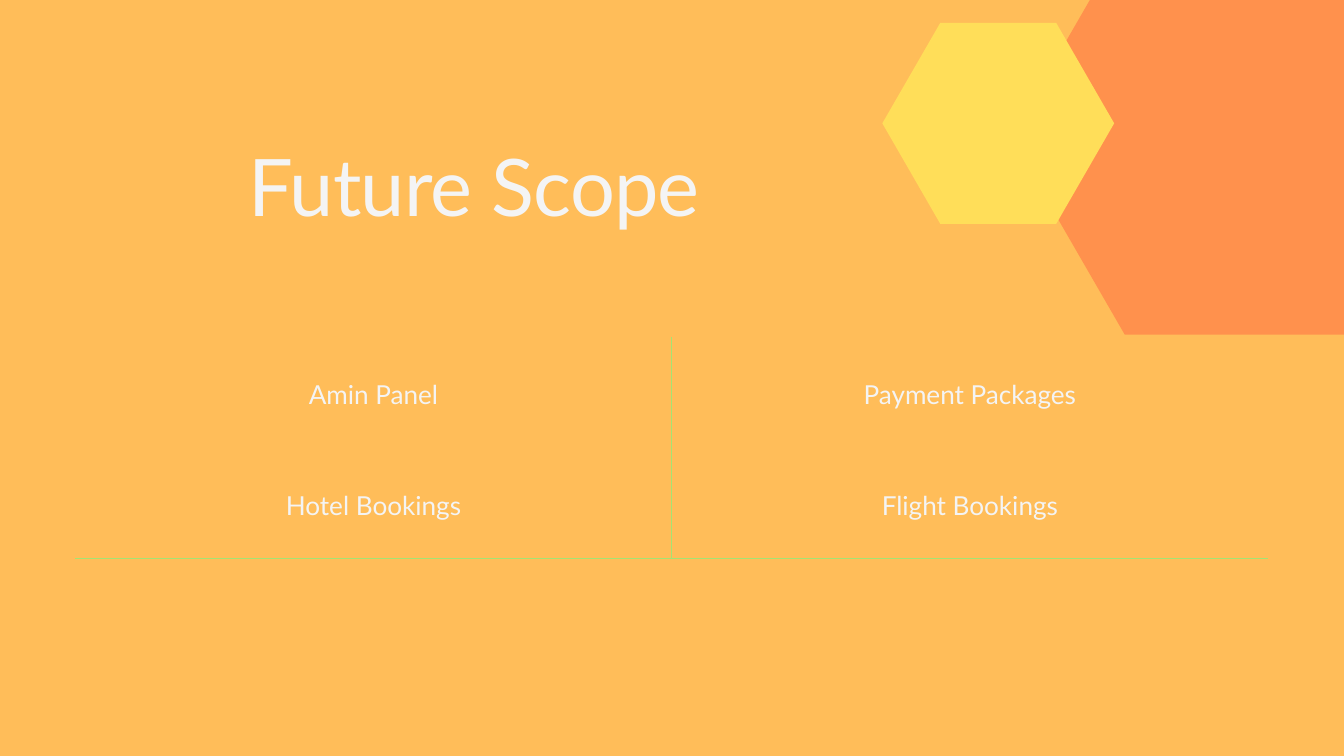
"""Build the Future Scope slide: two hexagons, a title and a ruled feature grid."""
from dataclasses import dataclass

from lxml.etree import SubElement
from pptx import Presentation
from pptx.dml.color import RGBColor as Color
from pptx.enum.text import MSO_ANCHOR as Anchor, MSO_AUTO_SIZE as AutoSize, PP_ALIGN as Align
from pptx.oxml import parse_xml
from pptx.oxml.ns import nsdecls, qn
from pptx.util import Inches, Pt


@dataclass(frozen=True)
class Theme:
    """Colours and type sizes of the slide."""
    background: str = "FFBD59"
    orange: str = "FF914D"
    yellow: str = "FFDE59"
    rule: str = "A4E473"
    text: str = "F4F4F4"
    font: str = "Lato"
    title_size: float = 85
    cell_size: float = 28
    rule_width: float = 0.75


class SlideBuilder:
    """Draws styled elements on one slide."""

    def __init__(self, slide, theme):
        self.slide = slide
        self.theme = theme

    def paint_background(self):
        """Fill the slide with the background colour."""
        fill = self.slide.background.fill
        fill.solid()
        fill.fore_color.rgb = Color.from_string(self.theme.background)

    def add_hexagon(self, left, top, width, height, color):
        """Draw a flat-topped hexagon whose corners sit a quarter of the width in."""
        corners = [(1, 0.5), (0.75, 1), (0.25, 1), (0, 0.5), (0.25, 0), (0.75, 0)]
        points = [(Inches(left + x * width), Inches(top + y * height)) for x, y in corners]
        builder = self.slide.shapes.build_freeform(*points[0])
        builder.add_line_segments(points[1:], close=True)
        shape = builder.convert_to_shape()
        shape.shadow.inherit = False
        shape.fill.solid()
        shape.fill.fore_color.rgb = Color.from_string(color)
        shape.line.fill.background()

    def add_run(self, paragraph, text, size, line_spacing):
        """Add one styled run and return it."""
        paragraph.line_spacing = Pt(line_spacing)
        run = paragraph.add_run()
        run.text = text
        run.font.name = self.theme.font
        run.font.size = Pt(size)
        run.font.color.rgb = Color.from_string(self.theme.text)
        return run

    def add_title(self, text, left, top, width, height):
        """Add the title, slightly tightened."""
        box = self.slide.shapes.add_textbox(Inches(left), Inches(top), Inches(width), Inches(height))
        frame = box.text_frame
        frame.word_wrap = True
        frame.auto_size = AutoSize.SHAPE_TO_FIT_TEXT
        frame.margin_left = frame.margin_top = frame.margin_right = frame.margin_bottom = 0
        size = self.theme.title_size
        run = self.add_run(frame.paragraphs[0], text, size, size * 1.2)
        run.font._element.set("spc", "-80")

    def set_borders(self, cell, visible):
        """Rule the named sides of a cell and clear the others."""
        properties = cell._tc.get_or_add_tcPr()
        for index, side in enumerate("LRTB"):
            line = parse_xml(f"<a:ln{side} {nsdecls('a')}/>")
            if side in visible:
                line.set("w", str(Pt(self.theme.rule_width)))
                fill = SubElement(line, qn("a:solidFill"))
                SubElement(fill, qn("a:srgbClr")).set("val", self.theme.rule)
            else:
                line.set("w", "0")
                SubElement(line, qn("a:noFill"))
            properties.insert(index, line)

    def add_grid(self, rows, left, top, width, height):
        """Add a table with a centre divider and a line along the bottom."""
        row_count, column_count = len(rows), len(rows[0])
        table = self.slide.shapes.add_table(
            row_count, column_count, Inches(left), Inches(top), Inches(width), Inches(height)).table
        table.first_row = table.horz_banding = False
        size = self.theme.cell_size
        for row_index, row in enumerate(rows):
            for column_index, text in enumerate(row):
                cell = table.cell(row_index, column_index)
                cell.fill.solid()
                cell.fill.fore_color.rgb = Color.from_string(self.theme.background)
                cell.vertical_anchor = Anchor.MIDDLE
                cell.margin_left = cell.margin_right = Inches(0.21)
                cell.margin_top = cell.margin_bottom = Inches(0.21)
                paragraph = cell.text_frame.paragraphs[0]
                paragraph.alignment = Align.CENTER
                self.add_run(paragraph, text, size, size * 1.4)
                sides = "L" if column_index else "R"
                if row_index == row_count - 1:
                    sides += "B"
                self.set_borders(cell, sides)


def main():
    """Build and save the presentation."""
    presentation = Presentation()
    presentation.slide_width = Inches(20)
    presentation.slide_height = Inches(11.25)
    slide = presentation.slides.add_slide(presentation.slide_layouts[6])
    theme = Theme()
    builder = SlideBuilder(slide, theme)
    builder.paint_background()
    builder.add_hexagon(15.04, -0.9, 6.79, 5.88, theme.orange)
    builder.add_hexagon(13.13, 0.34, 3.45, 2.99, theme.yellow)
    features = [("Amin Panel", "Payment Packages"), ("Hotel Bookings", "Flight Bookings")]
    builder.add_grid(features, 1.12, 5.01, 17.75, 3.3)
    builder.add_title("Future Scope", 3.7, 2.04, 7.56, 1.41)
    presentation.save("out.pptx")


if __name__ == "__main__":
    main()
